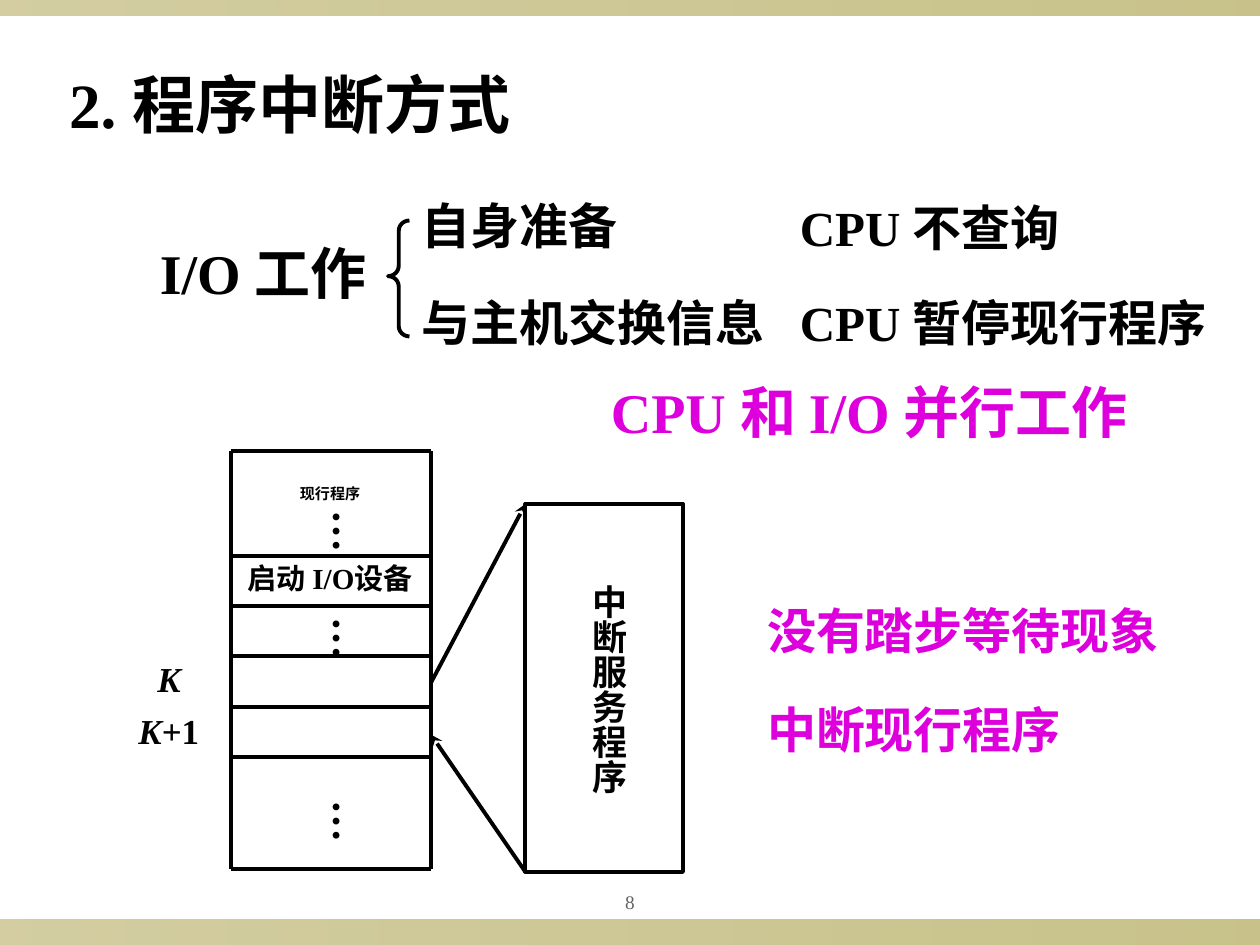
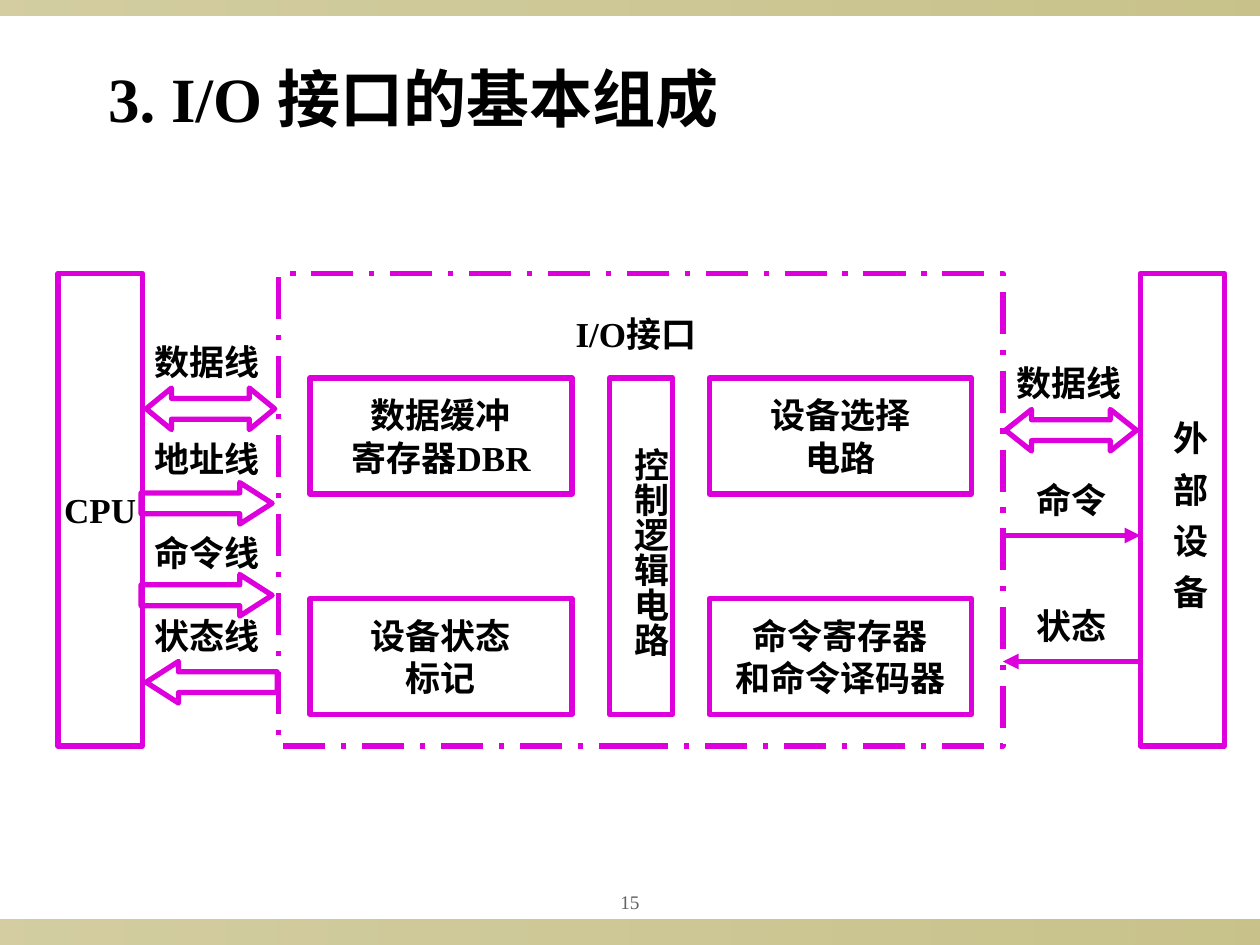
"""Builds two slides on interrupt-driven I/O and the structure of an I/O interface."""
from dataclasses import dataclass
from typing import Optional

from pptx import Presentation
from pptx.dml.color import RGBColor
from pptx.enum.dml import MSO_LINE
from pptx.enum.lang import MSO_LANGUAGE_ID
from pptx.enum.shapes import MSO_CONNECTOR, MSO_SHAPE
from pptx.enum.text import MSO_ANCHOR, MSO_AUTO_SIZE, PP_ALIGN
from pptx.oxml.ns import qn
from pptx.oxml.xmlchemy import OxmlElement
from pptx.util import Inches, Pt

COLORS = {"text": "000000", "accent": "DD00DD", "band": "918415", "number": "636363"}
FONT = {"name": "Times New Roman", "language_id": MSO_LANGUAGE_ID.SIMPLIFIED_CHINESE}
INSET = {"margin_left": 0.1, "margin_top": 0.05, "margin_right": 0.1, "margin_bottom": 0.05}
VERTICAL_INSET = {"margin_left": 0.05, "margin_top": 0.1, "margin_right": 0.05, "margin_bottom": 0.1}
CENTERED = {"align": PP_ALIGN.CENTER, "anchor": MSO_ANCHOR.MIDDLE}


@dataclass
class Label:
    left: float
    top: float
    width: float
    height: float
    text: str
    size: float = 20
    color: str = "text"
    bold: bool = True
    italic_lead: str = ""
    align: PP_ALIGN = PP_ALIGN.LEFT
    anchor: MSO_ANCHOR = MSO_ANCHOR.TOP
    vertical: bool = False
    spacing: float = 0


@dataclass
class Outline:
    kind: MSO_SHAPE
    left: float
    top: float
    width: float
    height: float
    color: str = "accent"
    weight: float = 3
    adjust: tuple[float, ...] = ()
    dash: Optional[MSO_LINE] = None
    text: str = ""


@dataclass
class Line:
    x1: float
    y1: float
    x2: float
    y2: float
    color: str = "text"
    weight: float = 2.25
    tail: str = ""


def rgb(name: str) -> RGBColor:
    return RGBColor.from_string(COLORS[name])


def write(tf, label: Label) -> None:
    for name, value in (VERTICAL_INSET if label.vertical else INSET).items():
        setattr(tf, name, Inches(value))
    tf.word_wrap = not label.vertical
    tf.vertical_anchor = label.anchor
    if label.vertical:
        tf.auto_size = MSO_AUTO_SIZE.SHAPE_TO_FIT_TEXT
        tf._txBody.bodyPr.set("vert", "eaVert")
    for i, line in enumerate(label.text.split("\n")):
        p = tf.add_paragraph() if i else tf.paragraphs[0]
        p.alignment = label.align
        for text, italic in ((label.italic_lead, True), (line, False)):
            if not text:
                continue
            r = p.add_run()
            r.text = text
            fmt = {**FONT, "size": Pt(label.size), "bold": label.bold, "italic": italic}
            for name, value in fmt.items():
                setattr(r.font, name, value)
            r.font.color.rgb = rgb(label.color)
            if label.spacing:
                r.font._element.set("spc", str(round(label.spacing * 100)))


def draw_label(s, label: Label) -> None:
    box = map(Inches, (label.left, label.top, label.width, label.height))
    write(s.shapes.add_textbox(*box).text_frame, label)


def draw_outline(s, o: Outline) -> None:
    box = (o.left, o.top, o.width, o.height)
    sp = s.shapes.add_shape(o.kind, *map(Inches, box))
    sp.shadow.inherit = False
    sp.fill.background()
    sp.line.color.rgb = rgb(o.color)
    sp.line.width = Pt(o.weight)
    if o.dash:
        sp.line.dash_style = o.dash
    for i, value in enumerate(o.adjust):
        sp.adjustments[i] = value
    if o.text:
        write(sp.text_frame, Label(*box, o.text, **CENTERED))
        sp.text_frame.margin_left = sp.text_frame.margin_right = 0


def draw_line(s, line: Line) -> None:
    ends = map(Inches, (line.x1, line.y1, line.x2, line.y2))
    cxn = s.shapes.add_connector(MSO_CONNECTOR.STRAIGHT, *ends)
    cxn.line.color.rgb = rgb(line.color)
    cxn.line.width = Pt(line.weight)
    if line.tail:
        tail = OxmlElement("a:tailEnd")
        tail.set("type", line.tail)
        cxn.line._get_or_add_ln().append(tail)
    cxn._element.spPr.append(OxmlElement("a:effectLst"))


def draw_band(s, top: float, height: float) -> None:
    sp = s.shapes.add_shape(MSO_SHAPE.RECTANGLE, 0, Inches(top), Inches(10), Inches(height))
    sp.shadow.inherit = False
    sp.line.fill.background()
    sp.fill.gradient()
    sp.fill.gradient_angle = 0
    for stop in sp.fill.gradient_stops:
        stop.color.rgb = rgb("band")
    for color, opacity in zip(sp._element.spPr.iter(qn("a:srgbClr")), (40, 50)):
        alpha = OxmlElement("a:alpha")
        alpha.set("val", str(opacity * 1000))
        color.append(alpha)


def add_slide(prs, number: int, title: Label):
    s = prs.slides.add_slide(prs.slide_layouts[6])
    draw_band(s, 7.3, 0.2)
    draw_band(s, 0, 0.12)
    draw_label(s, Label(4.5, 7, 1, 0.31, str(number), 11, "number", False, **CENTERED))
    draw_label(s, title)
    return s


def draw_all(s, outlines: list[Outline], lines: list[Line], labels: list[Label]) -> None:
    for draw, items in ((draw_outline, outlines), (draw_line, lines), (draw_label, labels)):
        for item in items:
            draw(s, item)


def interrupt_slide(prs) -> None:
    s = add_slide(prs, 8, Label(0.45, 0.47, 4, 0.7, "2. 程序中断方式", 36))
    left, right, top, bottom = 1.83, 3.42, 3.58, 6.9
    row_edges = [top, *(4.41 + 0.4 * i for i in range(5)), bottom]
    outlines = [
        Outline(MSO_SHAPE.LEFT_BRACE, 3.08, 1.75, 0.17, 0.92, "text", 2.25, (0.48, 0.48)),
        Outline(MSO_SHAPE.RECTANGLE, 4.17, 4, 1.25, 2.92, "text", 2.25),
    ]
    lines = [Line(left, y, right, y) for y in row_edges]
    lines += [Line(x, top, x, bottom) for x in (left, right)]
    lines += [
        Line(right, 5.42, 4.17, 4, tail="stealth"),
        Line(4.17, 6.92, right, 5.83, tail="stealth"),
    ]
    labels = [
        Label(1.17, 1.84, 2.25, 0.64, "I/O 工作", 32),
        Label(6.25, 1.52, 2.93, 0.57, "CPU 不查询", 28),
        Label(6.25, 2.27, 3.7, 0.57, "CPU 暂停现行程序", 28),
        Label(3.25, 1.5, 2.1, 0.57, "自身准备", 28),
        Label(3.25, 2.27, 3, 0.57, "与主机交换信息", 28),
        Label(4.75, 2.95, 4.8, 0.64, "CPU 和 I/O 并行工作", 32, "accent"),
        Label(1.78, 4.39, 1.68, 0.4, "启动 I/O设备", 16.6, **CENTERED),
        Label(1.83, 3.72, 1.58, 0.4, "现行程序", 8.6, **CENTERED),
        Label(4.52, 4.54, 0.53, 1.77, "中断服务程序", vertical=True),
        Label(1.15, 5.17, 0.5, 0.44, "", italic_lead="K"),
        Label(1, 5.58, 0.8, 0.44, "+1", italic_lead="K"),
        Label(5.99, 4.72, 3.5, 0.57, "没有踏步等待现象", 28, "accent"),
        Label(5.99, 5.5, 2.7, 0.57, "中断现行程序", 28, "accent"),
    ]
    labels += [Label(2.43, y, 0.6, 0.44, "…", 24, vertical=True) for y in (3.95, 4.8, 6.25)]
    draw_all(s, outlines, lines, labels)


def interface_slide(prs) -> None:
    s = add_slide(prs, 15, Label(0.76, 0.42, 5.4, 0.7, "3. I/O 接口的基本组成", 36))
    rect, both, to_right = MSO_SHAPE.RECTANGLE, MSO_SHAPE.LEFT_RIGHT_ARROW, MSO_SHAPE.RIGHT_ARROW
    units = [
        ["数据缓冲\n寄存器DBR", "设备选择\n电路"],
        ["设备状态\n标记", "命令寄存器\n和命令译码器"],
    ]
    outlines = [
        Outline(rect, 2.46 + 3.17 * col, 3 + 1.75 * row, 2.08, 0.92, text=text)
        for row, texts in enumerate(units)
        for col, text in enumerate(texts)
    ]
    outlines += [
        Outline(rect, 4.84, 3, 0.5, 2.67),
        Outline(rect, 2.21, 2.17, 5.75, 3.75, dash=MSO_LINE.LONG_DASH_DOT),
        Outline(rect, 9.05, 2.17, 0.67, 3.75),
        Outline(rect, 0.46, 2.17, 0.67, 3.75, text="CPU"),
        Outline(both, 7.98, 3.25, 1.04, 0.33, adjust=(0.5, 0.63)),
        Outline(both, 1.16, 3.08, 1.02, 0.33, adjust=(0.5, 0.61)),
        Outline(to_right, 1.12, 3.83, 1.04, 0.33, adjust=(0.5, 0.78)),
        Outline(to_right, 1.12, 4.56, 1.04, 0.33, adjust=(0.5, 0.78)),
        Outline(MSO_SHAPE.LEFT_ARROW, 1.16, 5.25, 1.04, 0.33, adjust=(0.5, 0.78)),
    ]
    lines = [
        Line(7.96, 4.25, 9.05, 4.25, "accent", 3, "triangle"),
        Line(9.05, 5.25, 7.96, 5.25, "accent", 3, "triangle"),
    ]
    bus_labels = [
        (1.13, 2.65, "数据线"), (1.13, 3.42, "地址线"), (1.13, 4.17, "命令线"),
        (1.13, 4.83, "状态线"), (7.97, 2.82, "数据线"), (8.13, 3.75, "命令"),
        (8.13, 4.75, "状态"),
    ]
    labels = [Label(x, y, 1.1, 0.44, text) for x, y, text in bus_labels]
    labels += [
        Label(4.47, 2.43, 1.4, 0.44, "I/O接口"),
        Label(4.85, 3.45, 0.53, 1.87, "控制逻辑电路", vertical=True),
        Label(9.13, 3.24, 0.53, 1.7, "外 部 设 备", vertical=True, spacing=2.3),
    ]
    draw_all(s, outlines, lines, labels)


def main() -> None:
    prs = Presentation()
    prs.slide_width, prs.slide_height = Inches(10), Inches(7.5)
    interrupt_slide(prs)
    interface_slide(prs)
    prs.save("out.pptx")


if __name__ == "__main__":
    main()
